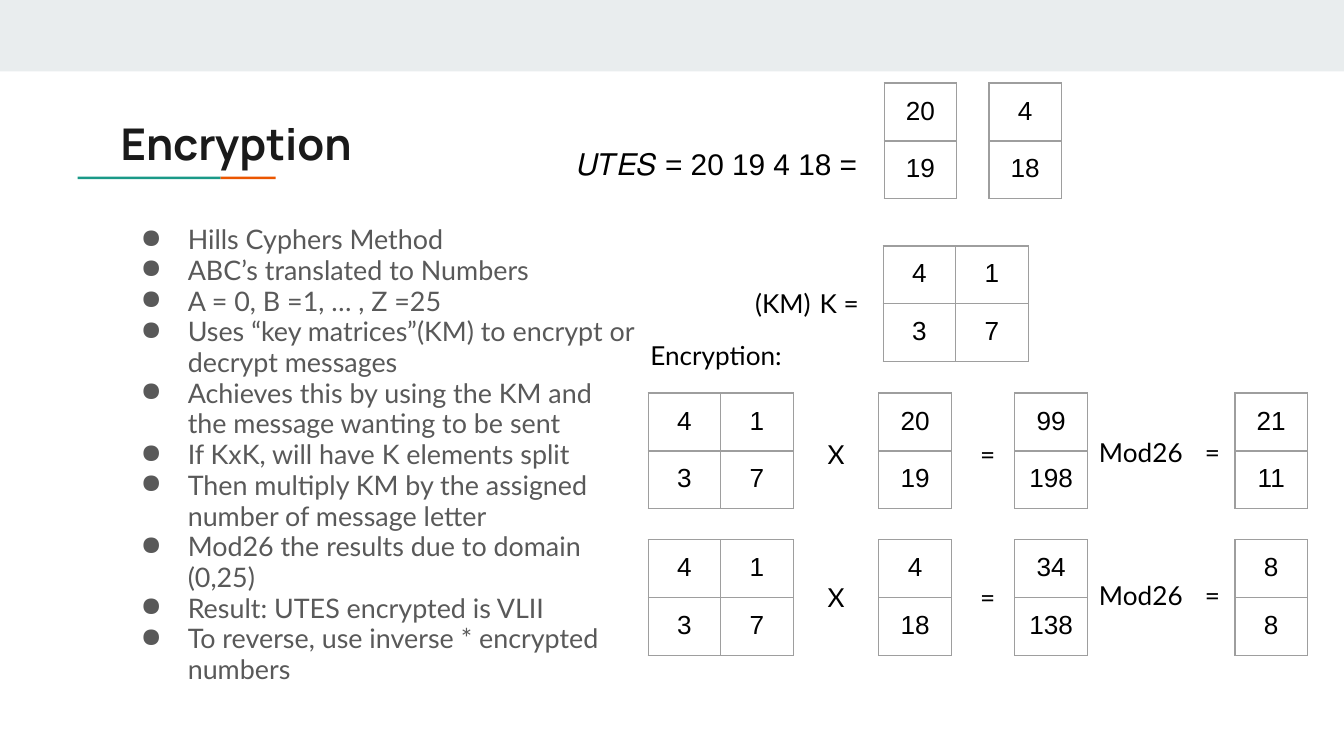
from lxml import etree
from pptx import Presentation
from pptx.dml.color import RGBColor
from pptx.enum.shapes import MSO_SHAPE
from pptx.enum.text import PP_ALIGN
from pptx.oxml.ns import qn
from pptx.util import Cm, Pt

RECT = MSO_SHAPE.RECTANGLE
LEFT, MID = PP_ALIGN.LEFT, PP_ALIGN.CENTER
BLACK = RGBColor(0, 0, 0)
INK = RGBColor(0x1A, 0x1A, 0x1A)
GRAY = RGBColor(0x59, 0x59, 0x59)
RULE = RGBColor(0x9E, 0x9E, 0x9E)
PALE = RGBColor(0xE9, 0xED, 0xEE)
TEAL = RGBColor(0x1A, 0x99, 0x88)
ORANGE = RGBColor(0xEB, 0x56, 0x00)

PAD = Cm(0.25)
CELL_W, CELL_H = 1.37, 1.08
KEY = [[4, 1], [3, 7]]
POINTS = [
    "Hills Cyphers Method",
    "ABC’s translated to Numbers",
    "A = 0, B =1, … , Z =25",
    "Uses “key matrices”(KM) to encrypt or decrypt messages",
    "Achieves this by using the KM and the message wanting to be sent",
    "If KxK, will have K elements split",
    "Then multiply KM by the assigned number of message letter",
    "Mod26 the results due to domain (0,25)",
    "Result: UTES encrypted is VLII",
    "To reverse, use inverse * encrypted numbers",
]


def add_bar(slide, x, y, w, h, color):
    """Draw a plain filled bar."""
    bar = slide.shapes.add_shape(RECT, Cm(x), Cm(y), Cm(w), Cm(h))
    bar.shadow.inherit = False
    bar.fill.solid()
    bar.fill.fore_color.rgb = color
    bar.line.fill.background()


def set_font(para, name, size, color, bold=False):
    """Set the font of a whole paragraph."""
    font = para.font
    font.name, font.size, font.bold = name, Pt(size), bold
    font.color.rgb = color


def add_frame(slide, x, y, w, h):
    """Add an empty wrapping text box and return its frame."""
    frame = slide.shapes.add_textbox(Cm(x), Cm(y), Cm(w), Cm(h)).text_frame
    frame.word_wrap = True
    frame.margin_left = frame.margin_right = PAD
    frame.margin_top = frame.margin_bottom = PAD
    return frame


def add_label(slide, text, x, y, w, h=1.12, align=LEFT, name="Lato",
              size=14, color=BLACK, bold=False):
    """Add one line of text and return its paragraph."""
    para = add_frame(slide, x, y, w, h).paragraphs[0]
    para.text = text
    para.alignment = align
    set_font(para, name, size, color, bold)
    return para


def add_list(slide, items, x, y, w, h):
    """Add a bulleted list."""
    frame = add_frame(slide, x, y, w, h)
    for i, item in enumerate(items):
        para = frame.add_paragraph() if i else frame.paragraphs[0]
        para.text = item
        para.line_spacing = 0.95
        props = para._p.get_or_add_pPr()
        props.set("marL", str(Cm(1.27)))
        props.set("indent", str(-Cm(0.89)))
        tint = etree.SubElement(props, qn("a:buClr"))
        etree.SubElement(tint, qn("a:srgbClr"), val=str(GRAY))
        etree.SubElement(props, qn("a:buChar"), char="●")
        set_font(para, "Lato", 14.4, GRAY)


def add_edges(cell):
    """Give a cell thin lines on all four sides."""
    props = cell._tc.get_or_add_tcPr()
    for side in ("lnL", "lnR", "lnT", "lnB"):
        line = etree.SubElement(props, qn(f"a:{side}"), w=str(Pt(0.75)))
        fill = etree.SubElement(line, qn("a:solidFill"))
        etree.SubElement(fill, qn("a:srgbClr"), val=str(RULE))


def add_matrix(slide, rows, x, y):
    """Add a matrix as a table of equal cells."""
    high, wide = len(rows), len(rows[0])
    table = slide.shapes.add_table(high, wide, Cm(x), Cm(y), Cm(CELL_W * wide),
                                   Cm(CELL_H * high)).table
    table.first_row = table.horz_banding = False
    for col in table.columns:
        col.width = Cm(CELL_W)
    for r, row in enumerate(rows):
        table.rows[r].height = Cm(CELL_H)
        for c, value in enumerate(row):
            cell = table.cell(r, c)
            cell.margin_left = cell.margin_right = PAD
            cell.margin_top = cell.margin_bottom = PAD
            add_edges(cell)
            cell.fill.background()
            para = cell.text_frame.paragraphs[0]
            para.text = str(value)
            para.alignment = MID
            set_font(para, "Arial", 14, BLACK)


def add_step(slide, y, mid, pair, product, result):
    """Lay out one line: key times pair, then the product mod 26."""
    add_matrix(slide, KEY, 12.25, y)
    add_label(slide, "X", 15.24, mid, 1.12, align=MID)
    add_matrix(slide, pair, 16.61, y)
    add_label(slide, "=", 17.98, mid, 1.37, align=MID)
    add_matrix(slide, product, 19.18, y)
    add_label(slide, "Mod26", 20.52, mid - 0.04, 2.41)
    add_label(slide, "=", 22.52, mid - 0.04, 1.12)
    add_matrix(slide, result, 23.34, y)


def main():
    """Build the slide and save it."""
    deck = Presentation()
    deck.slide_width, deck.slide_height = Cm(25.4), Cm(14.29)
    slide = deck.slides.add_slide(deck.slide_layouts[6])

    add_bar(slide, 0, 0, 25.4, 1.35, PALE)
    add_bar(slide, 1.47, 3.34, 2.7, 0.05, TEAL)
    add_bar(slide, 4.17, 3.34, 1.04, 0.05, ORANGE)
    add_label(slide, "Encryption", 2.03, 1.96, 4.9, 1.5, name="Manrope",
              size=23.4, color=INK, bold=True)
    add_list(slide, POINTS, 2.03, 4.01, 10.25, 9.47)

    para = add_label(slide, "𝑈𝑇𝐸𝑆 = 20 19 4 18 =", 10.67, 2.41, 8.33, 1.19,
                     name="Arial", size=16)
    para.line_spacing = 1.15
    first, second = [[20], [19]], [[4], [18]]
    add_matrix(slide, first, 16.71, 1.57)
    add_matrix(slide, second, 18.69, 1.57)

    add_label(slide, "(KM)", 14.02, 5.18, 1.93)
    add_label(slide, "K =", 15.24, 5.18, 1.45)
    add_matrix(slide, KEY, 16.69, 4.65)

    add_label(slide, "Encryption:", 12.04, 6.17, 4.14)
    add_step(slide, 7.43, 8.03, first, [[99], [198]], [[21], [11]])
    add_step(slide, 10.2, 10.74, second, [[34], [138]], [[8], [8]])
    deck.save("out.pptx")


if __name__ == "__main__":
    main()
